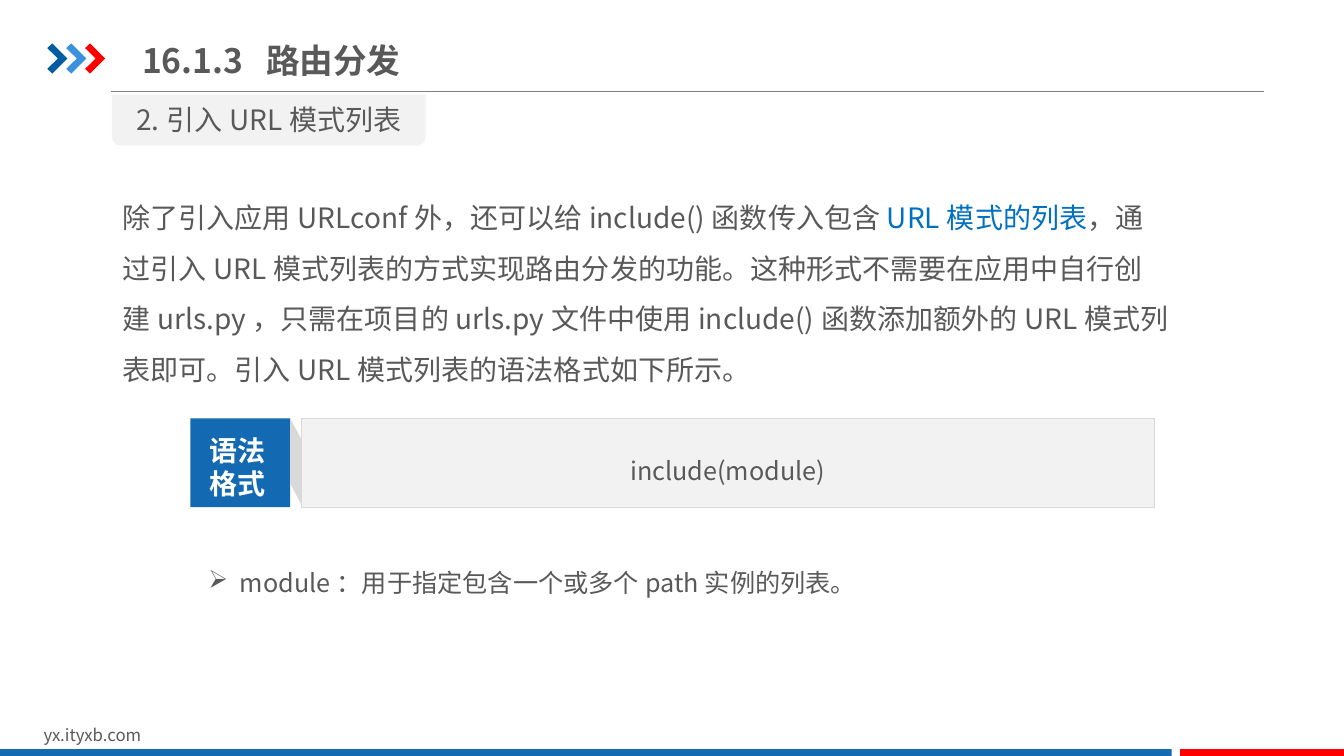
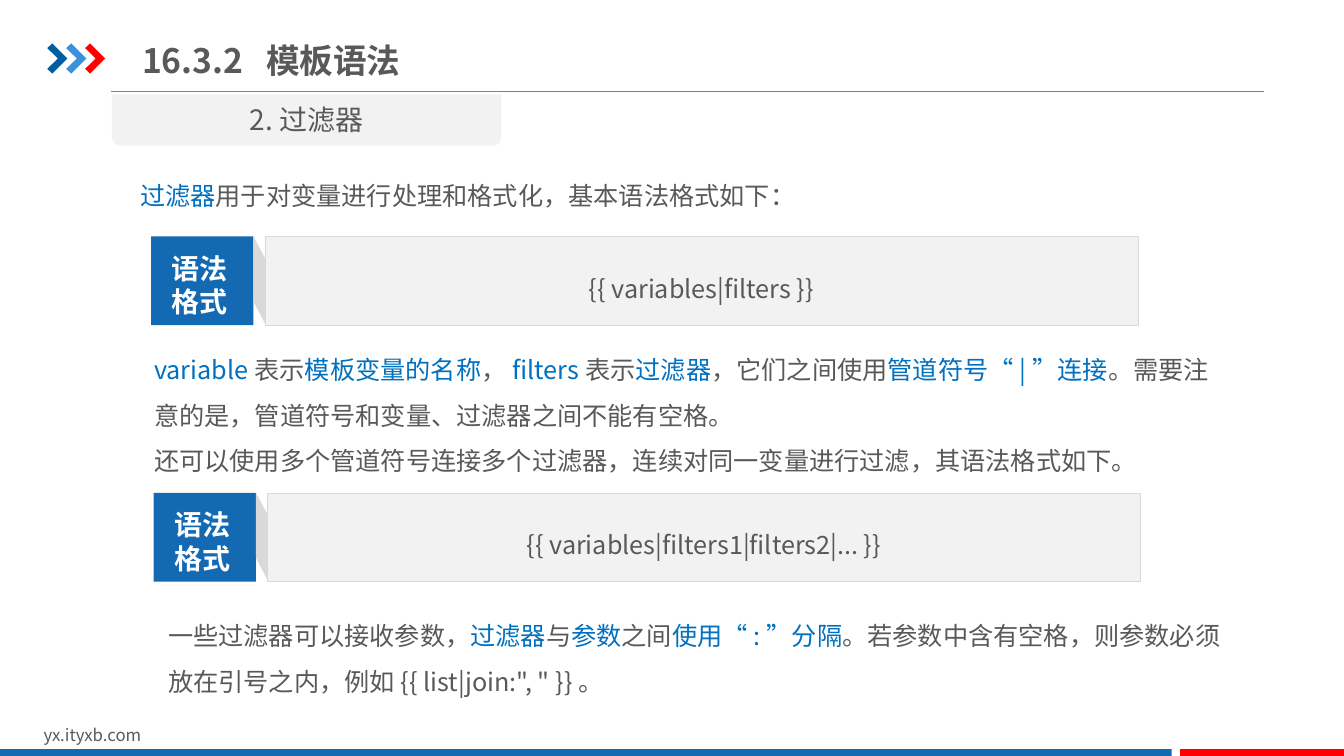
from lxml import etree
from pptx import Presentation
from pptx.dml.color import RGBColor
from pptx.enum.lang import MSO_LANGUAGE_ID
from pptx.enum.shapes import MSO_CONNECTOR, MSO_SHAPE
from pptx.enum.text import MSO_ANCHOR, PP_ALIGN
from pptx.oxml.ns import qn
from pptx.util import Pt

RECTANGLE = MSO_SHAPE.RECTANGLE
ROUNDED_TOP = MSO_SHAPE.ROUND_2_SAME_RECTANGLE
STRAIGHT = MSO_CONNECTOR.STRAIGHT
CHINESE = MSO_LANGUAGE_ID.SIMPLIFIED_CHINESE
LEFT, CENTER, JUSTIFY = PP_ALIGN.LEFT, PP_ALIGN.CENTER, PP_ALIGN.JUSTIFY
TOP, MIDDLE = MSO_ANCHOR.TOP, MSO_ANCHOR.MIDDLE

FONT = "Noto Sans CJK SC"
COLORS = {
    "text": "595959",
    "accent": "0070C0",
    "blue": "1369B2",
    "navy": "005DA2",
    "sky": "3992DB",
    "red": "FF0000",
    "panel": "F2F2F2",
    "border": "D9D9D9",
    "rule": "808080",
    "white": "FFFFFF",
}


def color(name):
    return RGBColor.from_string(COLORS[name])


def paint(shape, fill, line=None):
    shape.shadow.inherit = False
    shape.fill.solid()
    shape.fill.fore_color.rgb = color(fill)
    if line:
        shape.line.color.rgb = color(line)
        shape.line.width = Pt(0.25)
    else:
        shape.line.fill.background()
    return shape


def add_panel(slide, box, fill, line=None, kind=RECTANGLE):
    return paint(slide.shapes.add_shape(kind, *map(Pt, box)), fill, line)


def add_outline(slide, points, fill):
    corners = [(Pt(x), Pt(y)) for x, y in points]
    builder = slide.shapes.build_freeform(*corners[0], scale=1.0)
    builder.add_line_segments(corners[1:], close=True)
    return paint(builder.convert_to_shape(), fill)


def add_run(paragraph, text, size, ink, bold):
    run = paragraph.add_run()
    run.text = text
    run.font.color.rgb = color(ink)
    formats = {"name": FONT, "size": Pt(size), "bold": bold, "language_id": CHINESE}
    for name, value in formats.items():
        setattr(run.font, name, value)
    properties = run.font._element
    etree.SubElement(properties, qn("a:ea"), typeface=FONT)


def write(shape, lines, size=18, ink="text", bold=False, align=LEFT, spacing=1.0, anchor=TOP):
    """Text between asterisks takes the accent colour."""
    frame = shape.text_frame
    frame.word_wrap = True
    frame.vertical_anchor = anchor
    for index, line in enumerate(lines):
        paragraph = frame.add_paragraph() if index else frame.paragraphs[0]
        for name, value in {"alignment": align, "line_spacing": spacing}.items():
            setattr(paragraph, name, value)
        for position, part in enumerate(line.split("*")):
            if part:
                add_run(paragraph, part, size, "accent" if position % 2 else ink, bold)
    return frame


def add_text(slide, box, lines, **formats):
    return write(slide.shapes.add_textbox(*map(Pt, box)), lines, **formats)


def add_chevrons(slide, left, top):
    outline = [(0, 3.4), (3.6, 0), (14.4, 10.8), (3.6, 21.6), (0, 18.2), (7.6, 10.8)]
    for index, fill in enumerate(("navy", "sky", "red")):
        start = left + 13.5 * index
        add_outline(slide, [(start + x, top + y) for x, y in outline], fill)


def add_frame(slide):
    rule = slide.shapes.add_connector(STRAIGHT, Pt(79), Pt(65.5), Pt(903), Pt(65.5))
    rule.line.color.rgb = color("rule")
    rule.line.width = Pt(0.75)
    etree.SubElement(rule._element.spPr, qn("a:effectLst"))
    add_chevrons(slide, 33.8, 31)
    add_text(slide, (24, 514, 229, 22), ["yx.ityxb.com"], size=12)
    add_panel(slide, (0, 535, 837, 6.5), "blue")
    add_panel(slide, (843, 535, 117, 6.5), "red")


def add_title(slide, box, number, title):
    frame = add_text(slide, box, [f"{number}\t{title}"], size=24, bold=True, anchor=MIDDLE)
    properties = frame.paragraphs[0]._p.get_or_add_pPr()
    tabs = etree.SubElement(properties, qn("a:tabLst"))
    etree.SubElement(tabs, qn("a:tab"), pos=str(Pt(88.5)), algn="l")


def add_heading(slide, box, text):
    left, top, width, height = box
    add_panel(slide, box, "panel", kind=ROUNDED_TOP).rotation = 180
    add_text(slide, (left, top + 2.2, width, height - 5), [text], size=20, align=CENTER)


def add_syntax(slide, box, code):
    left, top, width, height = box
    label_width, gap = width * 0.1035, 8.2
    label_right = left + label_width
    panel_left = label_right + gap
    panel = add_panel(slide, (panel_left, top, left + width - panel_left, height), "panel", "border")
    write(panel, [code], align=CENTER, spacing=1.5, anchor=MIDDLE)
    add_panel(slide, (left, top, label_width, height), "blue")
    add_text(slide, (left + 3.7, top + 7.2, label_width - 11, 51), ["语法", "格式"],
             size=20, ink="white", bold=True, align=CENTER)
    fold = [(label_right, top), (panel_left, top + 15.3),
            (panel_left, top + 62), (label_right, top + 46.4)]
    add_outline(slide, fold, "border")


def add_bullet(slide, box, text):
    frame = add_text(slide, box, [text], align=JUSTIFY, spacing=1.5)
    margins = {"margin_left": 9.4, "margin_right": 9.4, "margin_top": 5, "margin_bottom": 5}
    for name, value in margins.items():
        setattr(frame, name, Pt(value))
    properties = frame.paragraphs[0]._p.get_or_add_pPr()
    properties.set("marL", str(Pt(22.5)))
    properties.set("indent", str(-Pt(22.5)))
    etree.SubElement(properties, qn("a:buChar"), char="➢")


def add_page(presentation, number, title, heading, heading_width):
    slide = presentation.slides.add_slide(presentation.slide_layouts[6])
    add_frame(slide)
    add_title(slide, (94.5, 21, 390, 44), number, title)
    add_heading(slide, (80, 67.5, heading_width, 36.5), heading)
    return slide


def build_routing(presentation):
    slide = add_page(presentation, "16.1.3", "路由分发", "2.引入URL模式列表", 224)
    add_text(slide, (80.5, 128, 762.5, 153), [
        "除了引入应用URLconf外，还可以给include()函数传入包含*URL模式的列表*，"
        "通过引入URL模式列表的方式实现路由分发的功能。这种形式不需要在应用中自行创建urls.py，"
        "只需在项目的urls.py文件中使用include()函数添加额外的URL模式列表即可。"
        "引入URL模式列表的语法格式如下所示。"], size=20, spacing=1.5)
    add_syntax(slide, (136, 298.8, 688.3, 63.5), "include(module)")
    add_bullet(slide, (139.5, 389.5, 551.5, 42.5), "module：用于指定包含一个或多个path实例的列表。")


def build_filters(presentation):
    slide = add_page(presentation, "16.3.2", "模板语法", "2.过滤器", 278)
    add_text(slide, (93, 114.5, 770.5, 44.5),
             ["*过滤器*用于对变量进行处理和格式化，基本语法格式如下："], spacing=1.5)
    add_syntax(slide, (108, 168.8, 705, 63.5), "{{ variables|filters }}")
    add_text(slide, (103, 239, 770.5, 101.5), [
        "*variable*表示*模板变量的名称*，*filters*表示*过滤器*，它们之间使用*管道符号“|”连接*。"
        "需要注意的是，管道符号和变量、过滤器之间不能有空格。",
        "还可以使用多个管道符号连接多个过滤器，连续对同一变量进行过滤，其语法格式如下。"], spacing=1.5)
    add_syntax(slide, (109.8, 352, 705, 63.5), "{{ variables|filters1|filters2|... }}")
    add_text(slide, (113, 429, 770.5, 86.5), [
        "一些过滤器可以接收参数，*过滤器*与*参数*之间*使用“:”分隔*。"
        "若参数中含有空格，则参数必须放在引号之内，例如{{ list|join:\", \" }}。"], spacing=1.5)


def main():
    presentation = Presentation()
    presentation.slide_width = Pt(960)
    presentation.slide_height = Pt(540)
    build_routing(presentation)
    build_filters(presentation)
    presentation.save("out.pptx")


if __name__ == "__main__":
    main()
